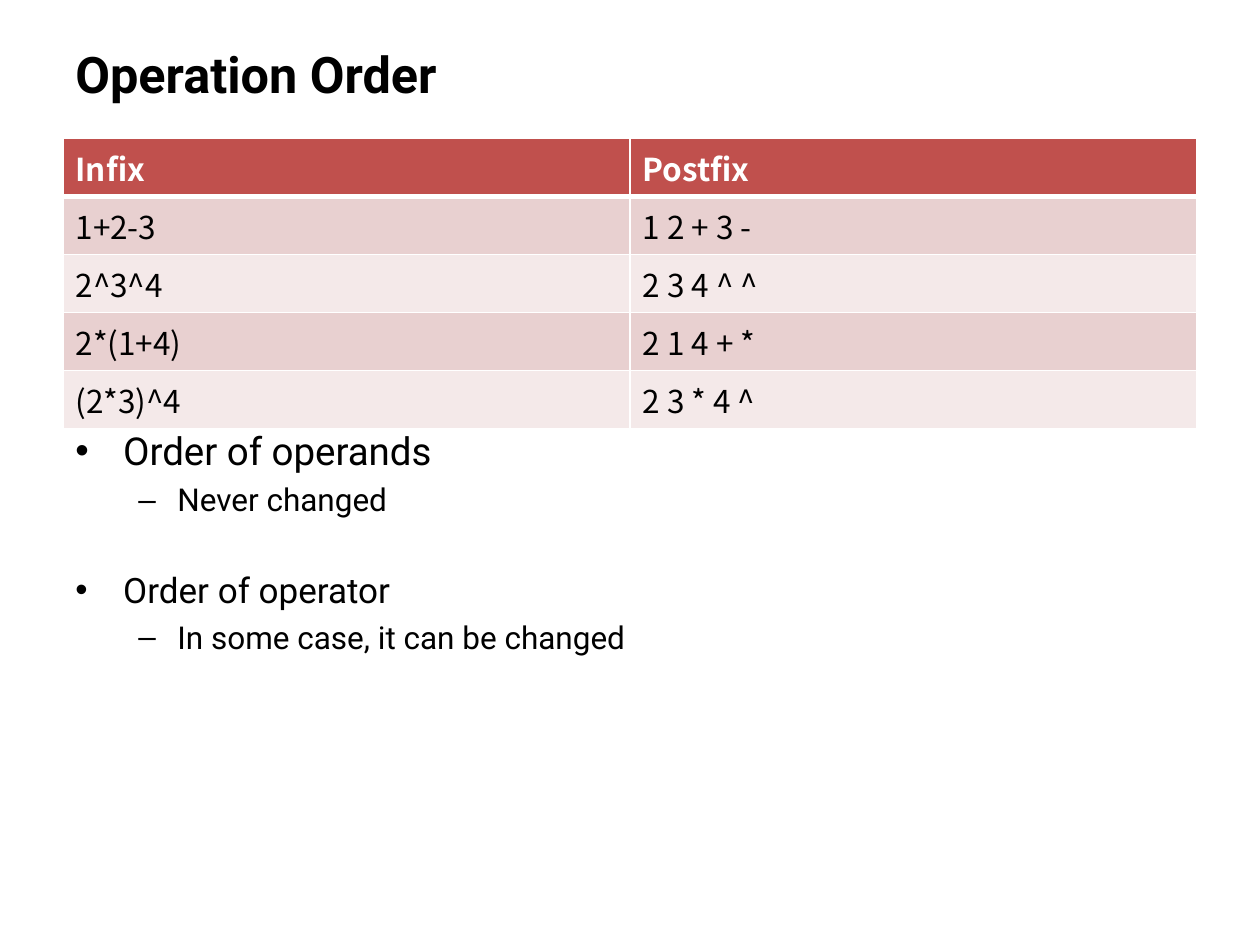
"""Build the Operation Order slide: a notation table and two bulleted remarks."""
from dataclasses import dataclass

from lxml.etree import SubElement
from pptx import Presentation
from pptx.dml.color import RGBColor
from pptx.enum.text import MSO_ANCHOR as Anchor
from pptx.oxml.ns import qn
from pptx.util import Inches, Pt

BLACK = RGBColor(0x00, 0x00, 0x00)
WHITE = RGBColor(0xFF, 0xFF, 0xFF)
RED = RGBColor(0xC0, 0x50, 0x4D)
BANDS = (RGBColor(0xF4, 0xE9, 0xE9), RGBColor(0xE8, 0xD0, 0xD0))

TEXT_FONT = "Roboto"
TABLE_FONT = "Noto Sans CJK KR"
LEFT, WIDTH = 0.5, 9
TABLE_TOP, ROW_HEIGHT = 1.1, 0.46

NOTATIONS = (
    ("Infix", "Postfix"),
    ("1+2-3", "1 2 + 3 -"),
    ("2^3^4", "2 3 4 ^ ^"),
    ("2*(1+4)", "2 1 4 + *"),
    ("(2*3)^4", "2 3 * 4 ^"),
)


@dataclass(frozen=True)
class Bullet:
    character: str
    margin: float
    hanging: float


@dataclass(frozen=True)
class Remark:
    text: str
    level: int
    size: float
    space_before: float


BULLETS = (Bullet("•", 0.38, 0.38), Bullet("–", 0.81, 0.31))
REMARKS = (
    Remark("Order of operands", 0, 22, 1),
    Remark("Never changed", 1, 18, 4),
    Remark("Order of operator", 0, 20, 29),
    Remark("In some case, it can be changed", 1, 18, 4),
)


def add_run(paragraph, text: str, font: str, size: float,
            color: RGBColor = BLACK, bold: bool = False) -> None:
    run = paragraph.add_run()
    run.text = text
    run.font.name = font
    run.font.size = Pt(size)
    run.font.bold = bold
    run.font.color.rgb = color


def add_text_frame(slide, top: float, height: float):
    shape = slide.shapes.add_textbox(
        Inches(LEFT), Inches(top), Inches(WIDTH), Inches(height))
    shape.text_frame.word_wrap = True
    return shape.text_frame


def set_borders(cell, top: float, bottom: float) -> None:
    properties = cell._tc.get_or_add_tcPr()
    for side, width in (("L", 1), ("R", 1), ("T", top), ("B", bottom)):
        line = SubElement(properties, qn(f"a:ln{side}"), w=str(Pt(width)))
        fill = SubElement(line, qn("a:solidFill"))
        SubElement(fill, qn("a:srgbClr"), val=str(WHITE))


def add_notation_table(slide) -> None:
    rows, columns = len(NOTATIONS), len(NOTATIONS[0])
    table = slide.shapes.add_table(
        rows, columns, Inches(LEFT), Inches(TABLE_TOP),
        Inches(WIDTH), Inches(ROW_HEIGHT * rows)).table
    for row, texts in enumerate(NOTATIONS):
        header = row == 0
        for column, text in enumerate(texts):
            cell = table.cell(row, column)
            set_borders(cell, 3 if row == 1 else 1, 3 if header else 1)
            cell.fill.solid()
            cell.fill.fore_color.rgb = RED if header else BANDS[row % 2]
            add_run(cell.text_frame.paragraphs[0], text, TABLE_FONT, 18,
                    WHITE if header else BLACK, header)


def set_bullet(paragraph, bullet: Bullet) -> None:
    properties = paragraph._p.get_or_add_pPr()
    properties.set("marL", str(Inches(bullet.margin)))
    properties.set("indent", str(-Inches(bullet.hanging)))
    SubElement(properties, qn("a:buFont"), typeface="Arial")
    SubElement(properties, qn("a:buChar"), char=bullet.character)


def add_remarks(slide) -> None:
    frame = add_text_frame(slide, 3.34, 3.37)
    for index, remark in enumerate(REMARKS):
        paragraph = frame.add_paragraph() if index else frame.paragraphs[0]
        paragraph.level = remark.level
        paragraph.space_before = Pt(remark.space_before)
        set_bullet(paragraph, BULLETS[remark.level])
        add_run(paragraph, remark.text, TEXT_FONT, remark.size)


def main() -> None:
    presentation = Presentation()
    presentation.slide_width, presentation.slide_height = Inches(10), Inches(7.5)
    slide = presentation.slides.add_slide(presentation.slide_layouts[6])
    title = add_text_frame(slide, 0.3, 0.56)
    title.vertical_anchor = Anchor.MIDDLE
    add_run(title.paragraphs[0], "Operation Order", TEXT_FONT, 28.8, bold=True)
    add_notation_table(slide)
    add_remarks(slide)
    presentation.save("out.pptx")


main()
